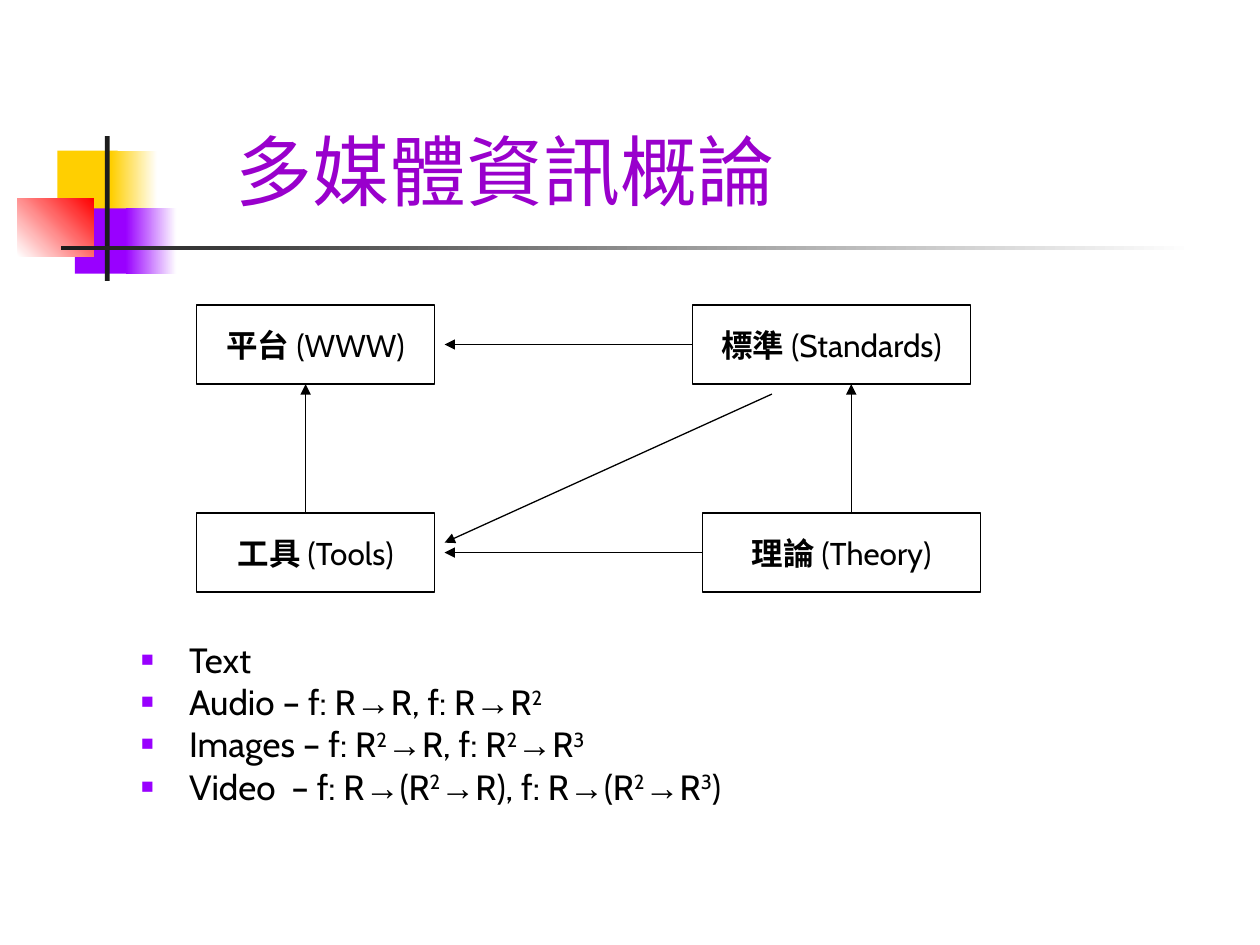
from itertools import groupby

from lxml import etree
from pptx import Presentation
from pptx import util as u
from pptx.dml.color import RGBColor
from pptx.enum import shapes, text
from pptx.oxml import ns

FONT, ARROW_FONT = "Cabin", "Arial"
BLACK, PURPLE, TITLE, YELLOW, RED, DARK, WHITE = (
    "000000", "9900FF", "9900CC", "FFCF01", "FF0000", "1C1C1C", "FFFFFF")
SUPERSCRIPTS = {"²": "2", "³": "3"}


def rgb(color):
    return RGBColor.from_string(color)


def child(parent, tag, **attrs):
    return etree.SubElement(parent, ns.qn(tag), attrs)


def place(shape, left, top, width, height):
    shape.left, shape.top = u.Inches(left), u.Inches(top)
    shape.width, shape.height = u.Inches(width), u.Inches(height)


def add_text(p, words, size=18, color=BLACK, bold=False, font=FONT, superscript=False):
    r = p.add_run()
    r.text = words
    r.font.name, r.font.size, r.font.bold = font, u.Pt(size), bold
    r.font.color.rgb = rgb(color)
    if superscript:
        r._r.get_or_add_rPr().set("baseline", "30000")


def add_rect(s, left, top, width, height):
    rect = s.shapes.add_shape(shapes.MSO_SHAPE.RECTANGLE, 0, 0, 0, 0)
    place(rect, left, top, width, height)
    rect.shadow.inherit = False
    return rect


def add_emblem(s, left, top, width, height):
    """Draw the squares and rules; places are shares of the given box."""
    parts = [
        (0.25, 0.10, 0.38, 0.45, (YELLOW,), 0),
        (0.59, 0.10, 0.29, 0.45, (YELLOW, WHITE), 0),
        (0.36, 0.50, 0.37, 0.45, (PURPLE,), 0),
        (0.68, 0.50, 0.32, 0.45, (PURPLE, WHITE), 0),
        (0, 0.43, 0.48, 0.40, (WHITE, RED), 45),
        (0.55, 0, 0.03, 1, (DARK,), 0),
        (0.27, 0.76, 7.14, 0.03, (DARK, WHITE), 0),
    ]
    for x, y, w, h, colors, angle in parts:
        rect = add_rect(s, left + x * width, top + y * height, w * width, h * height)
        rect.line.fill.background()
        if len(colors) == 1:
            rect.fill.solid()
            rect.fill.fore_color.rgb = rgb(colors[0])
        else:
            rect.fill.gradient()
            rect.fill.gradient_angle = angle
            for stop, color in zip(rect.fill.gradient_stops, colors):
                stop.color.rgb = rgb(color)


def add_title(s, words, *box):
    title = s.shapes.title
    place(title, *box)
    tf = title.text_frame
    tf.auto_size = text.MSO_AUTO_SIZE.NONE
    tf.vertical_anchor = text.MSO_ANCHOR.BOTTOM
    p = tf.paragraphs[0]
    p.alignment = text.PP_ALIGN.LEFT
    add_text(p, words, size=44, color=TITLE)


def add_node(s, term, gloss, *box):
    node = add_rect(s, *box)
    node.fill.background()
    node.line.color.rgb, node.line.width = rgb(BLACK), u.Pt(0.75)
    tf = node.text_frame
    tf.word_wrap = False
    tf.vertical_anchor = text.MSO_ANCHOR.MIDDLE
    p = tf.paragraphs[0]
    p.alignment = text.PP_ALIGN.CENTER
    add_text(p, term + " ", bold=True)
    add_text(p, gloss)
    return node


def add_arrow(s, start, end):
    arrow = s.shapes.add_connector(
        shapes.MSO_CONNECTOR.STRAIGHT, *(u.Inches(v) for v in (*start, *end)))
    arrow.line.color.rgb, arrow.line.width = rgb(BLACK), u.Pt(0.75)
    child(arrow.line._get_or_add_ln(), "a:tailEnd", type="triangle")
    child(arrow._element.spPr, "a:effectLst")
    return arrow


def add_diagram(s, left, top, width, height):
    """Draw four nodes and their arrows on a grid of 79 columns by 29 rows."""
    col, row = width / 79, height / 29

    def at(x, y):
        return left + x * col, top + y * row

    nodes = {}
    for term, gloss, x, y, w in [
        ("平台", "(WWW)", 0, 0, 24),
        ("工具", "(Tools)", 0, 21, 24),
        ("標準", "(Standards)", 50, 0, 28),
        ("理論", "(Theory)", 51, 21, 28),
    ]:
        nodes[term] = add_node(s, term, gloss, *at(x, y), w * col, 8 * row)

    for start, end, source in [
        ((11, 21), (11, 8), None),
        ((66, 21), (66, 8), None),
        ((51, 25), (25, 25), "理論"),
        ((58, 9), (25, 24), None),
        ((50, 4), (25, 4), "標準"),
    ]:
        arrow = add_arrow(s, at(*start), at(*end))
        if source:
            arrow.begin_connect(nodes[source], 1)


def add_bullet(p):
    pPr = p._p.get_or_add_pPr()
    indent = u.Inches(0.38)
    pPr.set("marL", str(indent))
    pPr.set("indent", str(-indent))
    child(child(pPr, "a:buClr"), "a:srgbClr", val=PURPLE)
    child(pPr, "a:buSzPct", val="60000")
    child(pPr, "a:buFont", typeface=ARROW_FONT)
    child(pPr, "a:buChar", char="■")


def run_kind(c):
    return "arrow" if c == "→" else "power" if c in SUPERSCRIPTS else "plain"


def add_list(s, lines, *box):
    body = s.placeholders[1]
    place(body, *box)
    tf = body.text_frame
    tf.auto_size = text.MSO_AUTO_SIZE.NONE
    for i, line in enumerate(lines):
        p = tf.add_paragraph() if i else tf.paragraphs[0]
        add_bullet(p)
        p.line_spacing = 0.8
        p.space_before = u.Pt(5 if i else 0)
        for kind, chars in groupby(line, run_kind):
            words = "".join(SUPERSCRIPTS.get(c, c) for c in chars)
            add_text(p, words, size=20, superscript=kind == "power",
                     font=ARROW_FONT if kind == "arrow" else FONT)


def main():
    prs = Presentation()
    prs.slide_width, prs.slide_height = u.Inches(10), u.Inches(7.5)
    s = prs.slides.add_slide(prs.slide_layouts[1])
    add_emblem(s, 0.14, 1.08, 1.26, 1.15)
    add_title(s, "多媒體資訊概論", 1.77, 0.68, 5.08, 1.08)
    add_diagram(s, 1.56, 2.42, 6.22, 2.28)
    add_list(s, [
        "Text",
        "Audio – f: R→R, f: R→R²",
        "Images – f: R²→R, f: R²→R³",
        "Video  – f: R→(R²→R), f: R→(R²→R³)",
    ], 1.02, 5.08, 8.5, 1.88)
    prs.save("out.pptx")


if __name__ == "__main__":
    main()
